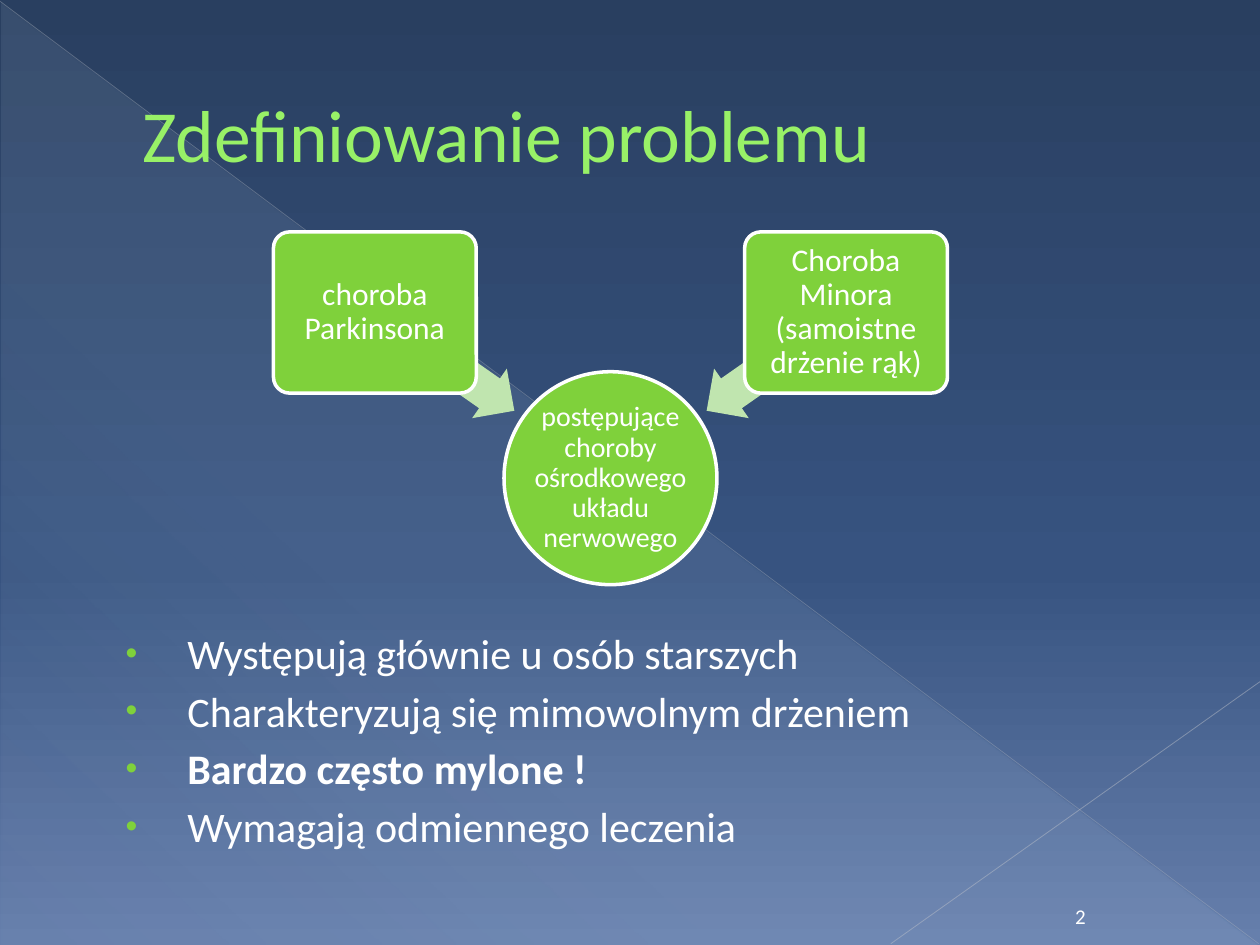
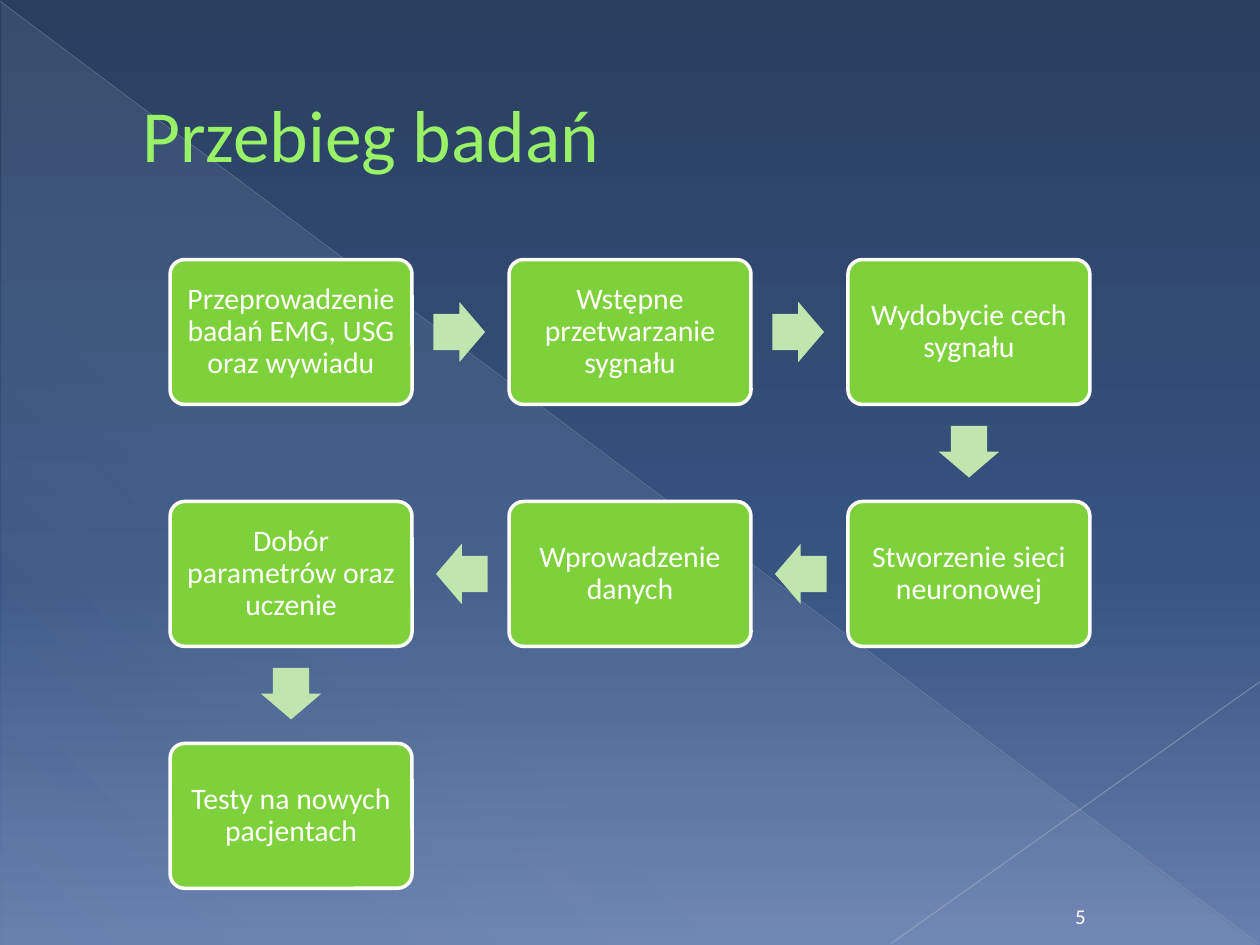
import math

from lxml import etree
from pptx import Presentation
from pptx import util as u
from pptx.dml.color import RGBColor
from pptx.enum import shapes, text
from pptx.oxml import parse_xml
from pptx.oxml.ns import nsdecls, qn

WIDTH, HEIGHT = 10, 7.5
FONT = "Calibri"
WHITE = RGBColor(0xFF, 0xFF, 0xFF)
GREEN = RGBColor(0x7F, 0xD1, 0x3B)
PALE_GREEN = RGBColor(0xC0, 0xE5, 0xAF)
TITLE_GREEN = RGBColor(0x98, 0xF1, 0x67)
TITLE_EDGE = RGBColor(0x58, 0x91, 0x29)
SKY = RGBColor(0xD6, 0xEC, 0xFF)
LINE_GREY = RGBColor(0xB7, 0xBC, 0xC5)
LINE_LIGHT = RGBColor(0xBF, 0xC3, 0xCB)
BACKDROP = [(0, RGBColor(0x29, 0x3F, 0x60), 100),
            (60, RGBColor(0x37, 0x53, 0x80), 100),
            (100, RGBColor(0x66, 0x7F, 0xAC), 100)]
GLOW = [(0, SKY, 10), (70, SKY, 8), (100, SKY, 1)]

ARROW_LENGTH, ARROW_WIDTH = 0.41, 0.48
SHAPE = shapes.MSO_SHAPE


def inches(*lengths):
    return [u.Inches(n) for n in lengths]


def set_gradient(fill, parent, stops, angle):
    """Give parent a linear gradient; stops are (position, colour, opacity) in percent."""
    fill.solid()
    marks = "".join(
        f'<a:gs pos="{pos * 1000}"><a:srgbClr val="{colour}">'
        f'<a:alpha val="{opacity * 1000}"/></a:srgbClr></a:gs>'
        for pos, colour, opacity in stops)
    gradient = parse_xml(
        f'<a:gradFill {nsdecls("a")} rotWithShape="1"><a:gsLst>{marks}</a:gsLst>'
        f'<a:lin ang="{angle * 60000}" scaled="0"/></a:gradFill>')
    parent.replace(parent.find(qn("a:solidFill")), gradient)


def add_thin_line(s, start, end, colour, width, opacity):
    line = s.shapes.add_connector(shapes.MSO_CONNECTOR.STRAIGHT, *inches(*start, *end))
    line.line.color.rgb = colour
    line.line.width = u.Pt(width)
    props = line._element.spPr
    etree.SubElement(next(props.iter(qn("a:srgbClr"))), qn("a:alpha"),
                     val=str(opacity * 1000))
    etree.SubElement(props, qn("a:effectLst"))


def add_run(p, words, size, colour=WHITE, bold=False):
    r = p.add_run()
    r.text = words
    r.font.name, r.font.size, r.font.bold = FONT, u.Pt(size), bold
    r.font.color.rgb = colour
    return r


def add_text_box(s, box, anchor=text.MSO_ANCHOR.TOP):
    tf = s.shapes.add_textbox(*inches(*box)).text_frame
    tf.word_wrap = True
    tf.vertical_anchor = anchor
    return tf


def write_label(tf, words, size, inset):
    tf.word_wrap = True
    tf.vertical_anchor = text.MSO_ANCHOR.MIDDLE
    tf.margin_left = tf.margin_right = tf.margin_top = tf.margin_bottom = u.Inches(inset)
    p = tf.paragraphs[0]
    p.alignment = text.PP_ALIGN.CENTER
    p.line_spacing = 0.9
    add_run(p, words, size)


def add_node(s, kind, box):
    sp = s.shapes.add_shape(kind, *inches(*box))
    sp.shadow.inherit = False
    sp.fill.solid()
    sp.fill.fore_color.rgb = GREEN
    sp.line.color.rgb = WHITE
    sp.line.width = u.Pt(2)
    return sp


def add_card(s, box, words, size, inset):
    card = add_node(s, SHAPE.ROUNDED_RECTANGLE, box)
    card.adjustments[0] = 0.1
    write_label(card.text_frame, words, size, inset)


def add_arrow(s, centre, length, angle):
    """Draw a block arrow pointing at angle degrees, clockwise from the right."""
    x, y = centre
    arrow = s.shapes.add_shape(SHAPE.RIGHT_ARROW, *inches(
        x - length / 2, y - ARROW_WIDTH / 2, length, ARROW_WIDTH))
    arrow.adjustments[0], arrow.adjustments[1] = 0.6, 0.5
    arrow.rotation = angle
    arrow.shadow.inherit = False
    arrow.fill.solid()
    arrow.fill.fore_color.rgb = PALE_GREEN
    arrow.line.fill.background()


def add_title(s, words):
    tf = add_text_box(s, (0.5, 0.29, 9, 1.53), text.MSO_ANCHOR.MIDDLE)
    p = tf.paragraphs[0]
    p._p.get_or_add_pPr().set("marL", str(u.Inches(0.53)))
    r = add_run(p, words, 42, TITLE_GREEN)
    r.font._element.insert(0, parse_xml(
        f'<a:ln {nsdecls("a")} w="{u.Pt(0.5)}"><a:solidFill>'
        f'<a:srgbClr val="{TITLE_EDGE}"/></a:solidFill></a:ln>'))


def add_page_number(s, number):
    tf = add_text_box(s, (8.3, 7.09, 0.55, 0.33), text.MSO_ANCHOR.BOTTOM)
    p = tf.paragraphs[0]
    p.alignment = text.PP_ALIGN.CENTER
    add_run(p, str(number), 12)


def add_themed_slide(prs, title, number):
    s = prs.slides.add_slide(prs.slide_layouts[6])
    fill = s.background.fill
    fill.solid()
    set_gradient(fill, s._element.cSld.find(qn("p:bg")).find(qn("p:bgPr")), BACKDROP, 90)
    glow = s.shapes.add_shape(SHAPE.RIGHT_TRIANGLE, *inches(0.01, 0.02, 9.98, 7.48))
    glow.shadow.inherit = False
    glow.line.fill.background()
    set_gradient(glow.fill, glow._element.spPr, GLOW, 133)
    add_thin_line(s, (0, 0.01), (9.99, 7.49), LINE_GREY, 0.39, 35)
    add_thin_line(s, (10, 5.41), (7.07, 7.49), LINE_LIGHT, 0.47, 45)
    add_title(s, title)
    add_page_number(s, number)
    return s


def add_bullets(s, box, items):
    """Write items, pairs of wording and boldness, as a bulleted list."""
    tf = add_text_box(s, box)
    for i, (words, bold) in enumerate(items):
        p = tf.paragraphs[0] if i == 0 else tf.add_paragraph()
        p.space_before = u.Pt(4.2)
        props = p._p.get_or_add_pPr()
        props.set("marL", str(u.Inches(0.56)))
        props.set("indent", str(u.Inches(-0.49)))
        colour = etree.SubElement(props, qn("a:buClr"))
        etree.SubElement(colour, qn("a:srgbClr"), val=str(GREEN))
        etree.SubElement(props, qn("a:buSzPct"), val="80000")
        etree.SubElement(props, qn("a:buFont"), typeface="Arial")
        etree.SubElement(props, qn("a:buChar"), char="•")
        add_run(p, words, 24, bold=bold)


def add_converging_diagram(s, causes, result):
    """Place two cards whose arrows meet in a circle midway below them."""
    middle, top, diameter = 4.845, 2.95, 1.69
    card_width, card_height, card_top = 1.61, 1.28, 1.84
    circle = (middle - diameter / 2, top, diameter, diameter)
    add_node(s, SHAPE.OVAL, circle)
    write_label(add_text_box(s, circle), result, 16, 0.01)
    for side, angle, words in zip((-1, 1), (35, 145), causes):
        add_arrow(s, (middle + side * 1.32, 2.87), 1.36, angle)
        left = middle + side * 1.87 - card_width / 2
        add_card(s, (left, card_top, card_width, card_height), words, 18, 0.04)


def add_snake_flow(s, steps, columns=3):
    """Lay steps on a grid, every second row running backwards, with arrows between."""
    left, top, width, height = 1.35, 2.06, 1.92, 1.15
    pitch_x, pitch_y = 2.69, 1.92
    reach = 0.17 + ARROW_LENGTH / 2

    def cell(i):
        row, col = divmod(i, columns)
        return (columns - 1 - col if row % 2 else col), row

    for i, words in enumerate(steps):
        col, row = cell(i)
        x, y = left + col * pitch_x, top + row * pitch_y
        add_card(s, (x, y, width, height), words, 17, 0.07)
        if i + 1 < len(steps):
            next_col, next_row = cell(i + 1)
            dx, dy = next_col - col, next_row - row
            centre = (x + width / 2 + dx * (width / 2 + reach),
                      y + height / 2 + dy * (height / 2 + reach))
            add_arrow(s, centre, ARROW_LENGTH, math.degrees(math.atan2(dy, dx)))


def main():
    prs = Presentation()
    prs.slide_width, prs.slide_height = inches(WIDTH, HEIGHT)

    s = add_themed_slide(prs, "Zdefiniowanie problemu", 2)
    add_bullets(s, (0.83, 4.93, 9, HEIGHT - 4.93), [
        ("Występują głównie u osób starszych", False),
        ("Charakteryzują się mimowolnym drżeniem", False),
        ("Bardzo często mylone !", True),
        ("Wymagają odmiennego leczenia", False),
    ])
    add_converging_diagram(
        s, ["choroba Parkinsona", "Choroba Minora (samoistne drżenie rąk)"],
        "postępujące choroby ośrodkowego układu nerwowego")

    s = add_themed_slide(prs, "Przebieg badań", 5)
    add_snake_flow(s, [
        "Przeprowadzenie badań EMG, USG oraz wywiadu",
        "Wstępne przetwarzanie sygnału",
        "Wydobycie cech sygnału",
        "Stworzenie sieci neuronowej",
        "Wprowadzenie danych",
        "Dobór parametrów oraz uczenie",
        "Testy na nowych pacjentach",
    ])

    prs.save("out.pptx")


if __name__ == "__main__":
    main()
